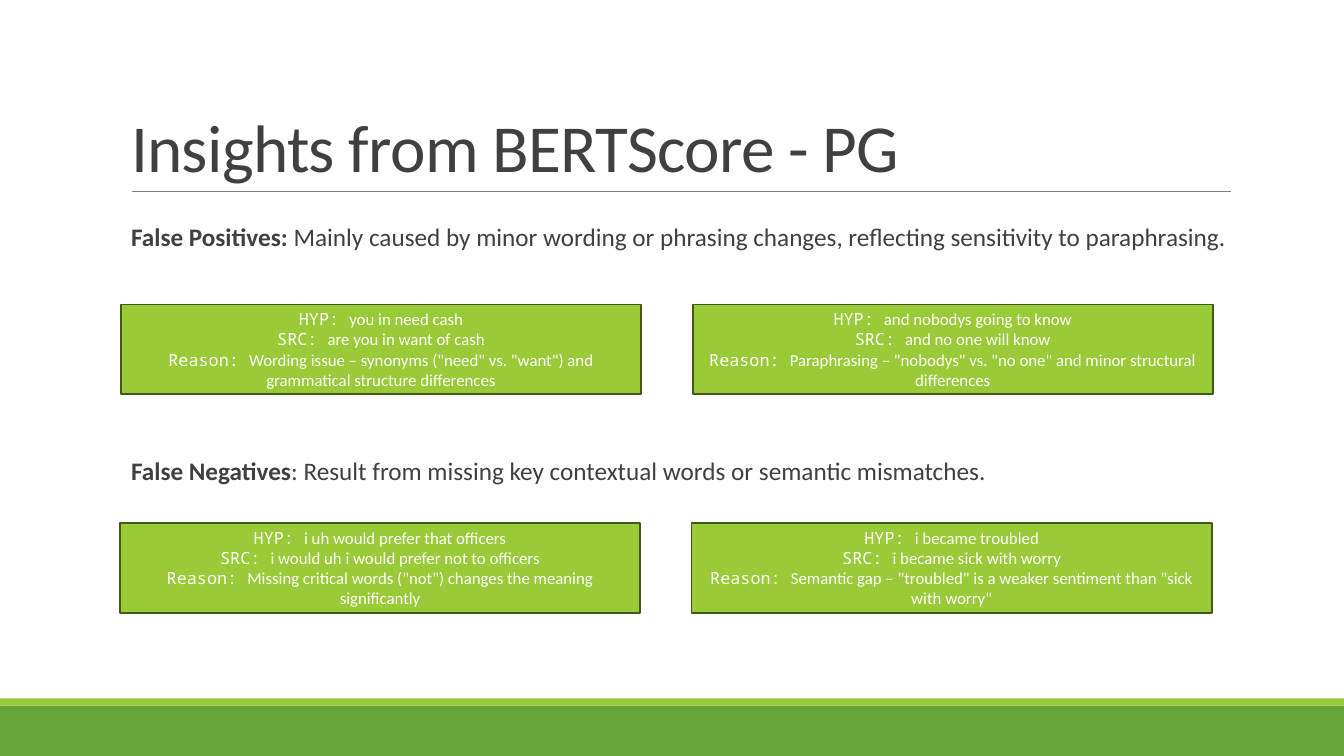
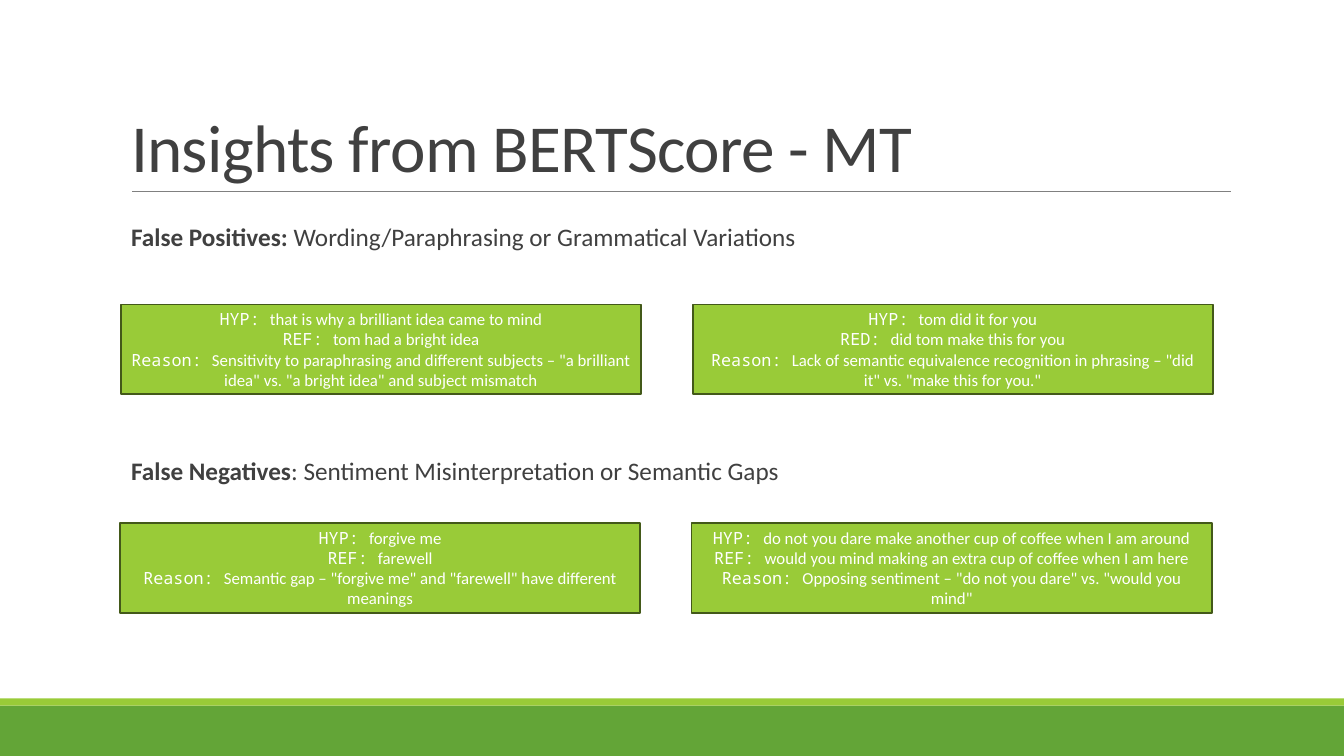
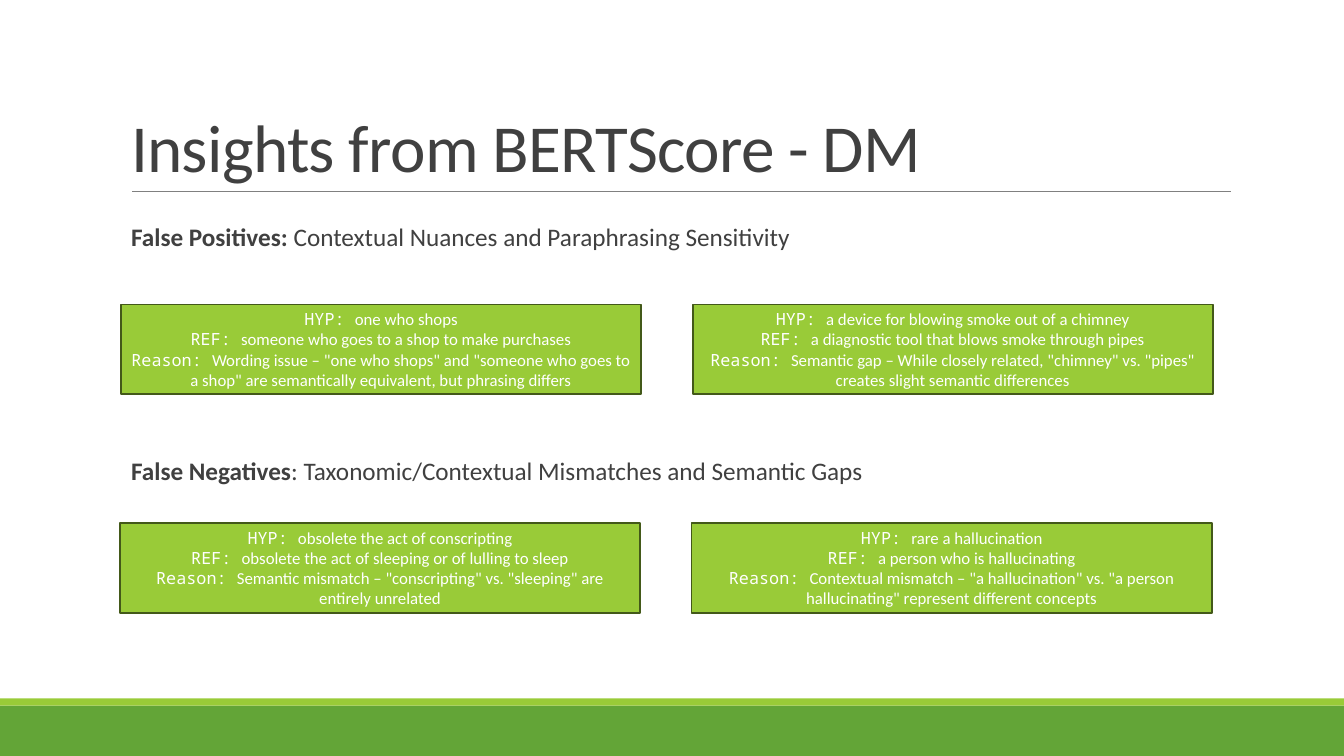
from typing import NamedTuple

from lxml.etree import SubElement
from pptx import Presentation
from pptx.dml.color import RGBColor
from pptx.enum.shapes import MSO_CONNECTOR, MSO_SHAPE
from pptx.enum.text import MSO_ANCHOR, MSO_AUTO_SIZE, PP_ALIGN
from pptx.oxml.ns import qn
from pptx.slide import Slide
from pptx.util import Inches, Pt

GREEN = RGBColor(0x63, 0xA5, 0x37)
LIME = RGBColor(0x99, 0xCB, 0x38)
OLIVE = RGBColor(0x43, 0x59, 0x19)
GRAY = RGBColor(0x80, 0x80, 0x80)
DARK = RGBColor(0x40, 0x40, 0x40)
WHITE = RGBColor(0xFF, 0xFF, 0xFF)

FONT = "Calibri"
MONO = "Noto Sans Mono"
SLIDE_W, SLIDE_H = 13.33, 7.5
CARD_W, CARD_H, CARD_STEP = 5.16, 0.89, 5.67


class Example(NamedTuple):
    hyp: str
    ref: str
    reason: str
    ref_label: str = "REF"


class Section(NamedTuple):
    text: str
    examples: tuple[Example, Example]


class Insight(NamedTuple):
    task: str
    positives: Section
    negatives: Section


class Row(NamedTuple):
    label: str
    separator: str
    heading_top: float
    card_left: float
    card_top: float


POSITIVE_ROW = Row("False Positives:", " ", 2.18, 1.2, 3.02)
NEGATIVE_ROW = Row("False Negatives", ": ", 4.5, 1.19, 5.19)

INSIGHTS = [
    Insight(
        "PG",
        Section("Mainly caused by minor wording or phrasing changes, reflecting sensitivity to paraphrasing.", (
            Example("you in need cash", "are you in want of cash",
                    'Wording issue – synonyms ("need" vs. "want") and grammatical structure differences', "SRC"),
            Example("and nobodys going to know", "and no one will know",
                    'Paraphrasing – "nobodys" vs. "no one" and minor structural differences', "SRC"),
        )),
        Section("Result from missing key contextual words or semantic mismatches.", (
            Example("i uh would prefer that officers", "i would uh i would prefer not to officers",
                    'Missing critical words ("not") changes the meaning significantly', "SRC"),
            Example("i became troubled", "i became sick with worry",
                    'Semantic gap – "troubled" is a weaker sentiment than "sick with worry"', "SRC"),
        )),
    ),
    Insight(
        "MT",
        Section("Wording/Paraphrasing or Grammatical Variations", (
            Example("that is why a brilliant idea came to mind", "tom had a bright idea",
                    'Sensitivity to paraphrasing and different subjects – "a brilliant idea" '
                    'vs. "a bright idea" and subject mismatch'),
            Example("tom did it for you", "did tom make this for you",
                    'Lack of semantic equivalence recognition in phrasing – "did it" vs. "make this for you."',
                    "RED"),
        )),
        Section("Sentiment Misinterpretation or Semantic Gaps", (
            Example("forgive me", "farewell",
                    'Semantic gap – "forgive me" and "farewell" have different meanings'),
            Example("do not you dare make another cup of coffee when I am around",
                    "would you mind making an extra cup of coffee when I am here",
                    'Opposing sentiment – "do not you dare" vs. "would you mind"'),
        )),
    ),
    Insight(
        "DM",
        Section("Contextual Nuances and Paraphrasing Sensitivity", (
            Example("one who shops", "someone who goes to a shop to make purchases",
                    'Wording issue – "one who shops" and "someone who goes to a shop" '
                    'are semantically equivalent, but phrasing differs'),
            Example("a device for blowing smoke out of a chimney",
                    "a diagnostic tool that blows smoke through pipes",
                    'Semantic gap – While closely related, "chimney" vs. "pipes" '
                    'creates slight semantic differences'),
        )),
        Section("Taxonomic/Contextual Mismatches and Semantic Gaps", (
            Example("obsolete the act of conscripting", "obsolete the act of sleeping or of lulling to sleep",
                    'Semantic mismatch – "conscripting" vs. "sleeping" are entirely unrelated'),
            Example("rare a hallucination", "a person who is hallucinating",
                    'Contextual mismatch – "a hallucination" vs. "a person hallucinating" '
                    'represent different concepts'),
        )),
    ),
]


def add_run(p, text: str, size: float, color: RGBColor, font: str = FONT, bold: bool = False):
    r = p.add_run()
    r.text = text
    r.font.name, r.font.size, r.font.bold = font, Pt(size), bold
    r.font.color.rgb = color
    return r


def add_rect(s: Slide, left: float, top: float, width: float, height: float, fill: RGBColor):
    sp = s.shapes.add_shape(MSO_SHAPE.RECTANGLE, Inches(left), Inches(top), Inches(width), Inches(height))
    sp.shadow.inherit = False
    sp.fill.solid()
    sp.fill.fore_color.rgb = fill
    sp.line.fill.background()
    return sp


def add_frame(s: Slide) -> None:
    """Bottom bands and the rule under the title."""
    add_rect(s, 0, 7, SLIDE_W, 0.5, GREEN)
    add_rect(s, 0, 6.93, SLIDE_W, 0.07, LIME)
    rule = s.shapes.add_connector(MSO_CONNECTOR.STRAIGHT, Inches(1.31), Inches(1.9), Inches(12.21), Inches(1.9))
    rule.line.color.rgb = GRAY
    rule.line.width = Pt(0.5)
    SubElement(rule._element.spPr, qn("a:effectLst"))


def set_title(s: Slide, text: str) -> None:
    title = s.shapes.title
    title.left, title.top, title.width, title.height = Inches(1.2), Inches(0.31), Inches(11), Inches(1.59)
    tf = title.text_frame
    tf.auto_size = MSO_AUTO_SIZE.NONE
    tf.vertical_anchor = MSO_ANCHOR.BOTTOM
    p = tf.paragraphs[0]
    p.alignment = PP_ALIGN.LEFT
    p.line_spacing = 0.85
    r = add_run(p, text, 48, DARK)
    r.font._element.set("spc", "-50")


def add_heading(s: Slide, row: Row, text: str) -> None:
    box = s.shapes.add_textbox(Inches(1.3), Inches(row.heading_top), Inches(10.9), Inches(0.4))
    tf = box.text_frame
    tf.word_wrap = True
    tf.margin_left = tf.margin_right = 0
    p = tf.paragraphs[0]
    p.line_spacing = 0.9
    add_run(p, row.label, 18, DARK, bold=True)
    add_run(p, row.separator + text, 18, DARK)


def add_card(s: Slide, left: float, top: float, example: Example) -> None:
    card = add_rect(s, left, top, CARD_W, CARD_H, LIME)
    card.line.color.rgb = OLIVE
    card.line.width = Pt(1.25)
    tf = card.text_frame
    tf.word_wrap = True
    tf.vertical_anchor = MSO_ANCHOR.MIDDLE
    lines = (("HYP", example.hyp), (example.ref_label, example.ref), ("Reason", example.reason))
    for i, (label, text) in enumerate(lines):
        p = tf.add_paragraph() if i else tf.paragraphs[0]
        p.alignment = PP_ALIGN.CENTER
        add_run(p, f"{label}: ", 12, WHITE, MONO)
        add_run(p, text, 12, WHITE)


def add_section(s: Slide, row: Row, section: Section) -> None:
    add_heading(s, row, section.text)
    for i, example in enumerate(section.examples):
        add_card(s, row.card_left + i * CARD_STEP, row.card_top, example)


def main() -> None:
    prs = Presentation()
    prs.slide_width, prs.slide_height = Inches(SLIDE_W), Inches(SLIDE_H)
    title_only = prs.slide_layouts[5]
    for insight in INSIGHTS:
        s = prs.slides.add_slide(title_only)
        add_frame(s)
        set_title(s, f"Insights from BERTScore - {insight.task}")
        add_section(s, POSITIVE_ROW, insight.positives)
        add_section(s, NEGATIVE_ROW, insight.negatives)
    prs.save("out.pptx")


if __name__ == "__main__":
    main()
